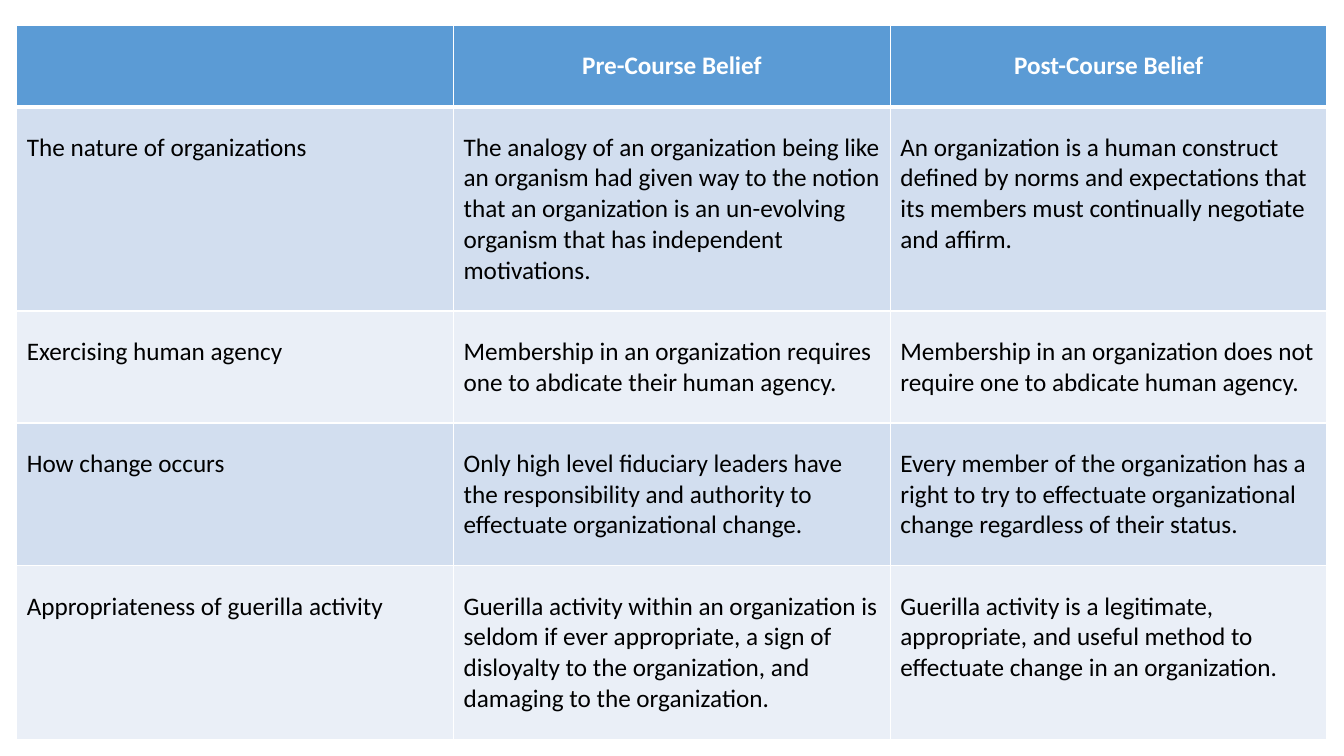
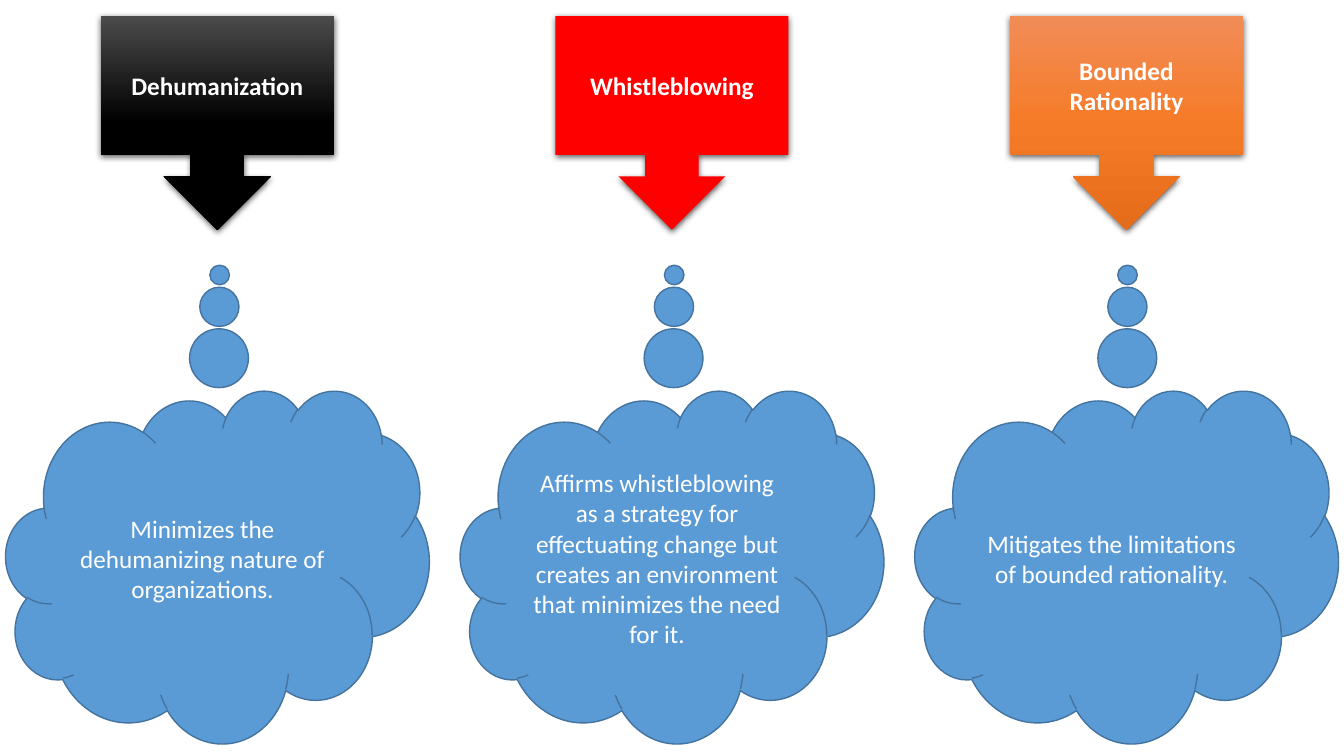
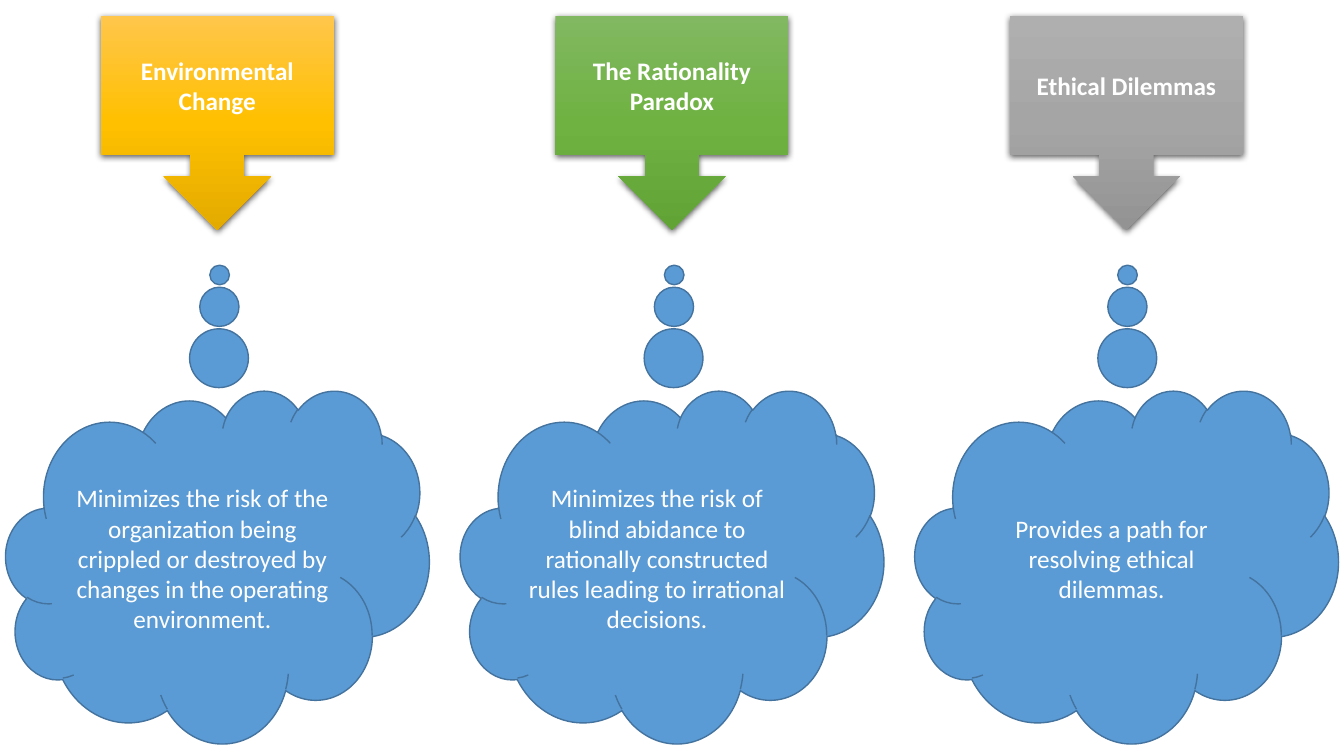
from copy import deepcopy
from dataclasses import dataclass

from lxml import etree
from pptx import Presentation
from pptx.dml.color import RGBColor
from pptx.enum import shapes, text
from pptx.oxml import ns
from pptx.util import Pt

WHITE = RGBColor(0xFF, 0xFF, 0xFF)
BLACK = RGBColor(0x00, 0x00, 0x00)
CHARCOAL = RGBColor(0x4B, 0x4B, 0x4B)
RED = RGBColor(0xFF, 0x00, 0x00)
BLUE = RGBColor(0x5B, 0x9B, 0xD5)
BLUE_OUTLINE = RGBColor(0x43, 0x73, 0x9E)
BAND_DARK = RGBColor(0xD2, 0xDE, 0xEF)
BAND_LIGHT = RGBColor(0xEA, 0xEF, 0xF7)
ORANGES = (RGBColor(0xF1, 0x8C, 0x57), RGBColor(0xF6, 0x7B, 0x28), RGBColor(0xE5, 0x6C, 0x19))
GOLDS = (RGBColor(0xFF, 0xC6, 0x4B), RGBColor(0xFF, 0xC0, 0x00), RGBColor(0xE3, 0xAB, 0x00))
GREENS = (RGBColor(0x81, 0xB8, 0x61), RGBColor(0x6F, 0xB2, 0x42), RGBColor(0x62, 0xA3, 0x36))
GRAYS = (RGBColor(0xAF, 0xAF, 0xAF), RGBColor(0xA5, 0xA5, 0xA5), RGBColor(0x93, 0x93, 0x93))

FONT = "Calibri"
FONT_SIZE = 18
COLUMN_PITCH = 324.7
ARROW_LEFT, ARROW_TOP, ARROW_WIDTH, ARROW_HEIGHT = 72, 11.5, 166.5, 152.6
CLOUD_LEFT, CLOUD_TOP, CLOUD_WIDTH, CLOUD_HEIGHT = 4.2, 278.6, 302.4, 252
BUBBLE_OFFSETS = (0.005, 0.005, 0.002)
TABLE_LEFT, TABLE_TOP, TABLE_WIDTH = 12, 18.3, 936
ROW_HEIGHTS = (57.6, 145.4, 80, 102, 123.5)
CELL_INSET_X, CELL_INSET_Y = 7.2, 18
THIN_BORDER, THICK_BORDER = 1, 3


@dataclass(frozen=True)
class Benefit:
    issue: str
    effect: str
    colors: tuple[RGBColor, ...]


BELIEFS = (
    ("", "Pre-Course Belief", "Post-Course Belief"),
    (
        "The nature of organizations",
        "The analogy of an organization being like an organism had given way to the notion "
        "that an organization is an un-evolving organism that has independent motivations.",
        "An organization is a human construct defined by norms and expectations that its "
        "members must continually negotiate and affirm.",
    ),
    (
        "Exercising human agency",
        "Membership in an organization requires one to abdicate their human agency.",
        "Membership in an organization does not require one to abdicate human agency.",
    ),
    (
        "How change occurs",
        "Only high level fiduciary leaders have the responsibility and authority to "
        "effectuate organizational change.",
        "Every member of the organization has a right to try to effectuate organizational "
        "change regardless of their status.",
    ),
    (
        "Appropriateness of guerilla activity",
        "Guerilla activity within an organization is seldom if ever appropriate, a sign of "
        "disloyalty to the organization, and damaging to the organization.",
        "Guerilla activity is a legitimate, appropriate, and useful method to effectuate "
        "change in an organization.",
    ),
)

BENEFIT_SLIDES = (
    (
        Benefit("Dehumanization", "Minimizes the dehumanizing nature of organizations.",
                (CHARCOAL, BLACK, BLACK)),
        Benefit("Whistleblowing",
                "Affirms whistleblowing as a strategy for effectuating change but creates an "
                "environment that minimizes the need for it.", (RED,)),
        Benefit("Bounded Rationality", "Mitigates the limitations of bounded rationality.", ORANGES),
    ),
    (
        Benefit("Environmental Change",
                "Minimizes the risk of the organization being crippled or destroyed by changes "
                "in the operating environment.", GOLDS),
        Benefit("The Rationality Paradox",
                "Minimizes the risk of blind abidance to rationally constructed rules leading "
                "to irrational decisions.", GREENS),
        Benefit("Ethical Dilemmas", "Provides a path for resolving ethical dilemmas.", GRAYS),
    ),
)


def write(frame, words: str, color: RGBColor, bold: bool, centered: bool) -> None:
    paragraph = frame.paragraphs[0]
    paragraph.alignment = text.PP_ALIGN.CENTER if centered else text.PP_ALIGN.LEFT
    run = paragraph.add_run()
    run.text = words
    run.font.name = FONT
    run.font.size = Pt(FONT_SIZE)
    run.font.bold = bold
    run.font.color.rgb = color


def paint(shape, colors: tuple[RGBColor, ...]) -> None:
    if len(colors) == 1:
        shape.fill.solid()
        shape.fill.fore_color.rgb = colors[0]
        return
    shape.fill.gradient()
    shape.fill.gradient_angle = 270
    stop_list = next(shape.element.iter(ns.qn("a:gsLst")))
    stop_list.append(deepcopy(stop_list[-1]))
    for index, (stop, color) in enumerate(zip(shape.fill.gradient_stops, colors)):
        stop.position = index / (len(colors) - 1)
        stop.color.rgb = color


def cast_shadow(shape) -> None:
    effects = shape.element.spPr.find(ns.qn("a:effectLst"))
    shadow = etree.SubElement(effects, ns.qn("a:outerShdw"), blurRad=str(Pt(4.5)),
                              dist=str(Pt(1.5)), dir="5400000", algn="ctr", rotWithShape="0")
    black = etree.SubElement(shadow, ns.qn("a:srgbClr"), val=str(BLACK))
    etree.SubElement(black, ns.qn("a:alpha"), val="63000")


def add_callout(slide, kind, left: float, top: float, width: float, height: float,
                words: str, colors: tuple[RGBColor, ...], bold: bool):
    callout = slide.shapes.add_shape(kind, Pt(left), Pt(top), Pt(width), Pt(height))
    callout.shadow.inherit = False
    paint(callout, colors)
    callout.text_frame.word_wrap = True
    callout.text_frame.vertical_anchor = text.MSO_ANCHOR.MIDDLE
    write(callout.text_frame, words, WHITE, bold, True)
    return callout


def add_benefit(slide, benefit: Benefit, column: int) -> None:
    shift = column * COLUMN_PITCH
    arrow = add_callout(slide, shapes.MSO_SHAPE.DOWN_ARROW_CALLOUT, ARROW_LEFT + shift, ARROW_TOP,
                        ARROW_WIDTH, ARROW_HEIGHT, benefit.issue, benefit.colors, True)
    arrow.line.fill.background()
    cast_shadow(arrow)
    cloud = add_callout(slide, shapes.MSO_SHAPE.CLOUD_CALLOUT, CLOUD_LEFT + shift, CLOUD_TOP,
                        CLOUD_WIDTH, CLOUD_HEIGHT, benefit.effect, (BLUE,), False)
    cloud.line.color.rgb = BLUE_OUTLINE
    cloud.line.width = Pt(1)
    cloud.adjustments[0] = BUBBLE_OFFSETS[column]
    cloud.adjustments[1] = -0.826


def add_borders(cell, top: float, bottom: float) -> None:
    properties = cell._tc.get_or_add_tcPr()
    widths = {"L": THIN_BORDER, "R": THIN_BORDER, "T": top, "B": bottom}
    for position, (side, width) in enumerate(widths.items()):
        border = etree.Element(ns.qn(f"a:ln{side}"), w=str(Pt(width)))
        fill = etree.SubElement(border, ns.qn("a:solidFill"))
        etree.SubElement(fill, ns.qn("a:srgbClr"), val=str(WHITE))
        properties.insert(position, border)


def format_cell(cell, words: str, row: int) -> None:
    header = row == 0
    cell.margin_left = cell.margin_right = Pt(CELL_INSET_X)
    cell.margin_top = cell.margin_bottom = Pt(CELL_INSET_Y)
    cell.fill.solid()
    cell.fill.fore_color.rgb = BLUE if header else BAND_DARK if row % 2 else BAND_LIGHT
    add_borders(cell, THICK_BORDER if row == 1 else THIN_BORDER,
                THICK_BORDER if header else THIN_BORDER)
    if words:
        write(cell.text_frame, words, WHITE if header else BLACK, header, header)


def add_belief_table(slide) -> None:
    columns = len(BELIEFS[0])
    beliefs = slide.shapes.add_table(len(BELIEFS), columns, Pt(TABLE_LEFT), Pt(TABLE_TOP),
                                     Pt(TABLE_WIDTH), Pt(sum(ROW_HEIGHTS))).table
    for column in beliefs.columns:
        column.width = Pt(TABLE_WIDTH / columns)
    for row, (height, entries) in enumerate(zip(ROW_HEIGHTS, BELIEFS)):
        beliefs.rows[row].height = Pt(height)
        for column, words in enumerate(entries):
            format_cell(beliefs.cell(row, column), words, row)


def main() -> None:
    deck = Presentation()
    deck.slide_width, deck.slide_height = Pt(960), Pt(540)
    blank = deck.slide_layouts[6]
    add_belief_table(deck.slides.add_slide(blank))
    for benefits in BENEFIT_SLIDES:
        slide = deck.slides.add_slide(blank)
        for column, benefit in enumerate(benefits):
            add_benefit(slide, benefit, column)
    deck.save("out.pptx")


main()
